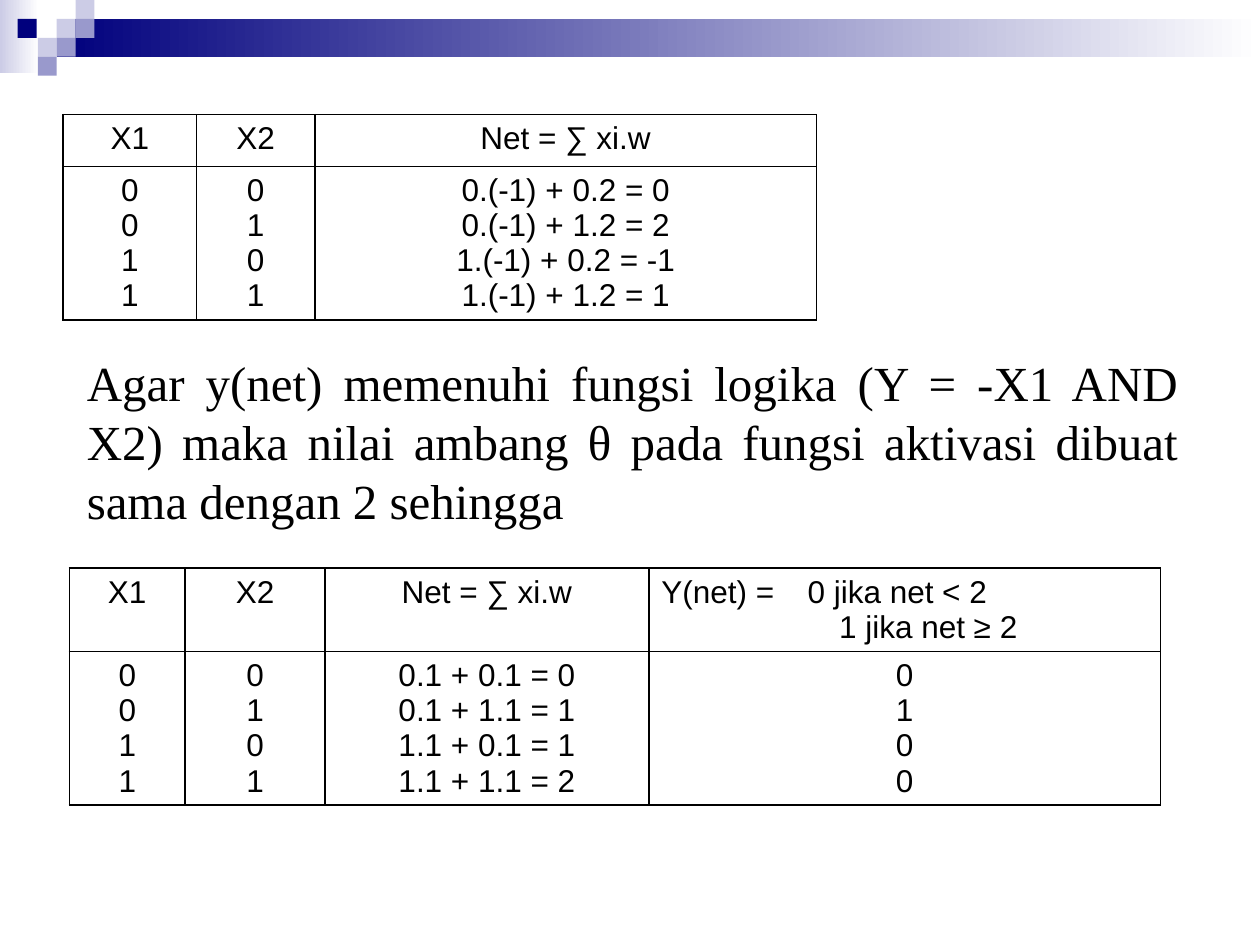
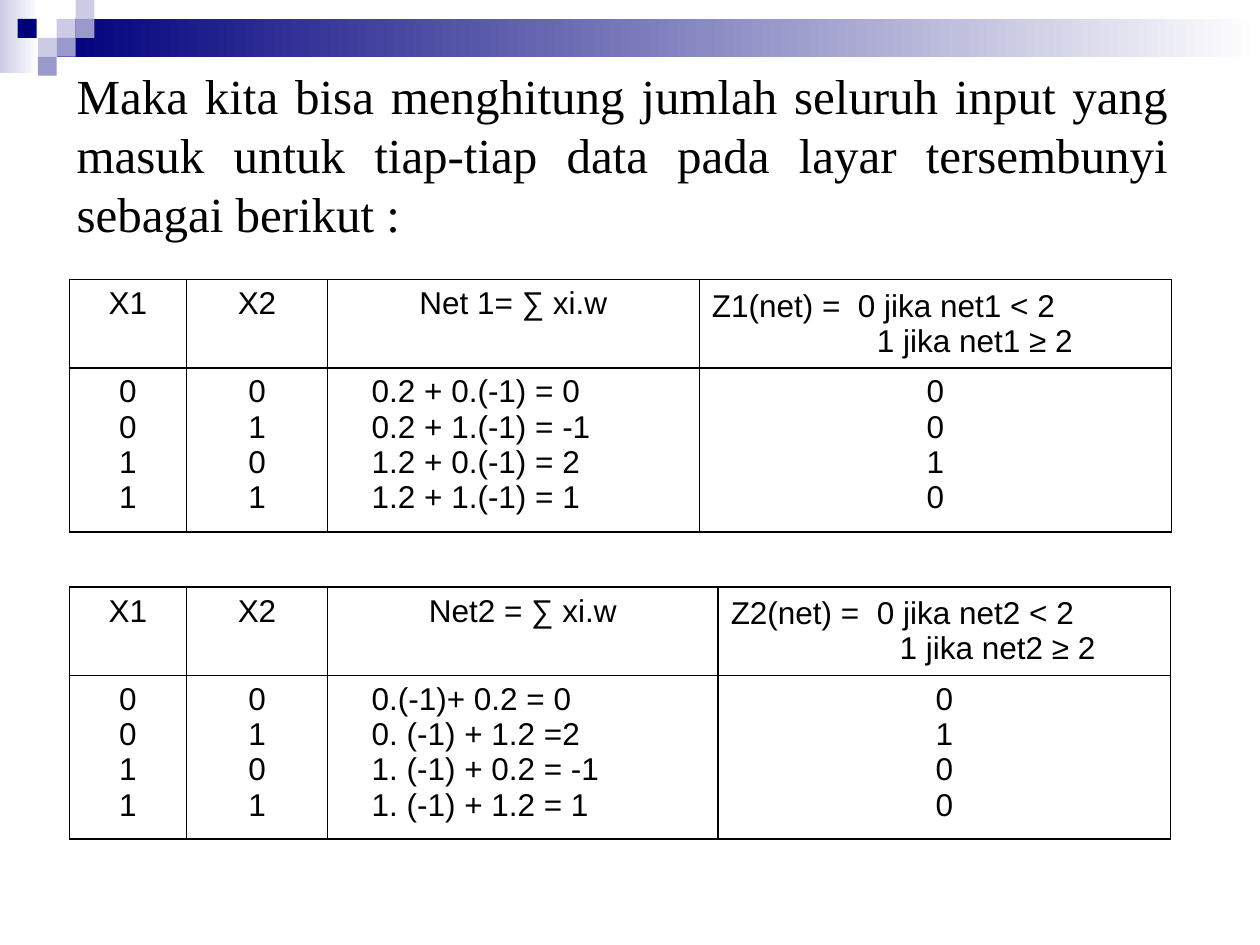
from typing import NamedTuple

from lxml import etree
from pptx import Presentation
from pptx.dml.color import RGBColor
from pptx.enum.shapes import MSO_SHAPE
from pptx.enum.text import MSO_ANCHOR, PP_ALIGN
from pptx.oxml.ns import qn
from pptx.util import Inches, Pt

RECT = MSO_SHAPE.RECTANGLE
LEFT, CENTER, JUSTIFY = PP_ALIGN.LEFT, PP_ALIGN.CENTER, PP_ALIGN.JUSTIFY
MIDDLE = MSO_ANCHOR.MIDDLE

COLORS = {"navy": "00007D", "mid": "9999CC", "pale": "CCCCE6",
          "white": "FFFFFF", "ink": "000000"}
TILE = 0.15  # side of one corner square
TAB = 1.16   # where the first case of a step function starts


class Block(NamedTuple):
    left: float
    top: float
    width: float
    height: float
    color: str
    fade: bool = False


class Grid(NamedTuple):
    left: float
    top: float
    cols: list[float]
    rows: list[float]
    heads: list[str]
    body: list[str]  # one string per column, values split by "|"
    case: float = 0  # indent of the second case in the last heading
    inset: float = 0  # indent of the sums; 0 centres them


class Note(NamedTuple):
    left: float
    top: float
    text: str


# Gradient bands and corner squares, shared by all slides
TILES = [(0.45, 0.15, "pale"), (0.6, 0, "pale"), (0.6, 0.15, "mid"),
         (0.3, 0.3, "pale"), (0.14, 0.15, "navy"), (0.45, 0.3, "mid"),
         (0.3, 0.45, "mid")]
DECOR = [Block(0, 0, 0.31, 0.58, "pale", True),
         Block(0.45, 0.15, 9.55, 0.3, "navy", True),
         *(Block(x, y, TILE, TILE, color) for x, y, color in TILES)]

# Contents of the slides
X1, X2 = "0|0|1|1", "0|1|0|1"
TALL = [0.65, 1.2]
SLIDES = [
    [
        Grid(0.5, 0.91, [1.06, 0.94, 3.98], [0.41, 1.22],
             ["X1", "X2", "Net = ∑ xi.w"],
             [X1, X2, "0.(-1) + 0.2 = 0|0.(-1) + 1.2 = 2|"
                      "1.(-1) + 0.2 = -1|1.(-1) + 1.2 = 1"]),
        Grid(0.55, 4.51, [0.92, 1.11, 2.57, 4.06], TALL,
             ["X1", "X2", "Net = ∑ xi.w",
              "Y(net) =\t0 jika net < 2|1 jika net ≥ 2"],
             [X1, X2, "0.1 + 0.1 = 0|0.1 + 1.1 = 1|"
                      "1.1 + 0.1 = 1|1.1 + 1.1 = 2", "0|1|0|0"], case=1.41),
        Note(0.47, 2.75, "Agar y(net) memenuhi fungsi logika (Y = -X1 AND X2) "
             "maka nilai ambang θ pada fungsi aktivasi dibuat sama dengan 2 "
             "sehingga"),
    ],
    [
        Grid(0.55, 2.22, [0.93, 1.12, 2.95, 3.75], TALL,
             ["X1", "X2", "Net 1= ∑ xi.w",
              "Z1(net) =\t0 jika net1 < 2|1 jika net1 ≥ 2"],
             [X1, X2, "0.2 + 0.(-1) = 0|0.2 + 1.(-1) = -1|"
                      "1.2 + 0.(-1) = 2|1.2 + 1.(-1) = 1", "0|0|1|0"],
             case=1.31, inset=0.25),
        Grid(0.55, 4.66, [0.93, 1.12, 3.1, 3.59], TALL,
             ["X1", "X2", "Net2 = ∑ xi.w",
              "Z2(net) =\t0 jika net2 < 2|1 jika net2 ≥ 2"],
             [X1, X2, "0.(-1)+ 0.2 = 0|0. (-1) + 1.2 =2|"
                      "1. (-1) + 0.2 = -1|1. (-1) + 1.2 = 1", "0|1|0|0"],
             case=1.34, inset=0.25),
        Note(0.39, 0.47, "Maka kita bisa menghitung jumlah seluruh input yang "
             "masuk untuk tiap-tiap data pada layar tersembunyi sebagai "
             "berikut :"),
    ],
]


def rgb(name: str) -> RGBColor:
    return RGBColor.from_string(COLORS[name])


def style(par, size: int, face: str, align, indent: float = 0) -> None:
    """Align, indent and set the font of one paragraph."""
    par.alignment = align
    props = par._p.get_or_add_pPr()
    if indent:
        props.set("marL", str(Inches(indent)))
        props.set("indent", "0")
    if "\t" in par.text:
        tabs = etree.SubElement(props, qn("a:tabLst"))
        etree.SubElement(tabs, qn("a:tab"), pos=str(Inches(TAB)), algn="l")
    font = par.font
    font.size, font.name = Pt(size), face
    font.color.rgb = rgb("ink")


def draw_block(slide, block: Block) -> None:
    shape = slide.shapes.add_shape(RECT, *map(Inches, block[:4]))
    shape.shadow.inherit = False
    shape.line.fill.background()
    if block.fade:
        shape.fill.gradient()
        shape.fill.gradient_angle = 0
        for stop, name in zip(shape.fill.gradient_stops, (block.color, "white")):
            stop.color.rgb = rgb(name)
    else:
        shape.fill.solid()
        shape.fill.fore_color.rgb = rgb(block.color)


def draw_edges(cell) -> None:
    """Give a cell thin black borders and no fill."""
    props = cell._tc.get_or_add_tcPr()
    for side in ("lnL", "lnR", "lnT", "lnB"):
        line = etree.SubElement(props, qn(f"a:{side}"), w=str(Pt(1)))
        fill = etree.SubElement(line, qn("a:solidFill"))
        etree.SubElement(fill, qn("a:srgbClr"), val=COLORS["ink"])
    cell.fill.background()


def fill_cell(cell, text: str, aligns: list, indents: list[float]) -> None:
    draw_edges(cell)
    cell.text = text.replace("|", "\n")
    for par, align, indent in zip(cell.text_frame.paragraphs, aligns, indents):
        style(par, 18, "Arial", align, indent)


def draw_grid(slide, grid: Grid) -> None:
    size = sum(grid.cols), sum(grid.rows)
    frame = slide.shapes.add_table(2, len(grid.cols), Inches(grid.left),
                                   Inches(grid.top), *map(Inches, size))
    table = frame.table
    table.first_row = table.horz_banding = False
    for row, height in zip(table.rows, grid.rows):
        row.height = Inches(height)
    for col, width in enumerate(grid.cols):
        table.columns[col].width = Inches(width)
        head, body = table.cell(0, col), table.cell(1, col)
        # A heading with two cases reads from the left
        cases = "|" in grid.heads[col]
        fill_cell(head, grid.heads[col], [LEFT if cases else CENTER] * 2,
                  [0, grid.case])
        if cases:
            head.vertical_anchor = MIDDLE
        inset = grid.inset if col == 2 else 0
        fill_cell(body, grid.body[col], [LEFT if inset else CENTER] * 4,
                  [inset] * 4)


def draw_note(slide, note: Note) -> None:
    box = slide.shapes.add_textbox(Inches(note.left), Inches(note.top),
                                   Inches(8.98), Inches(1.51))
    frame = box.text_frame
    frame.word_wrap = True
    frame.text = note.text
    style(frame.paragraphs[0], 28, "Times New Roman", JUSTIFY, 0.12)


DRAW = {Grid: draw_grid, Note: draw_note}


def main() -> None:
    deck = Presentation()
    deck.slide_width, deck.slide_height = Inches(10), Inches(7.5)
    for items in SLIDES:
        slide = deck.slides.add_slide(deck.slide_layouts[6])
        for block in DECOR:
            draw_block(slide, block)
        for item in items:
            DRAW[type(item)](slide, item)
    deck.save("out.pptx")


if __name__ == "__main__":
    main()
